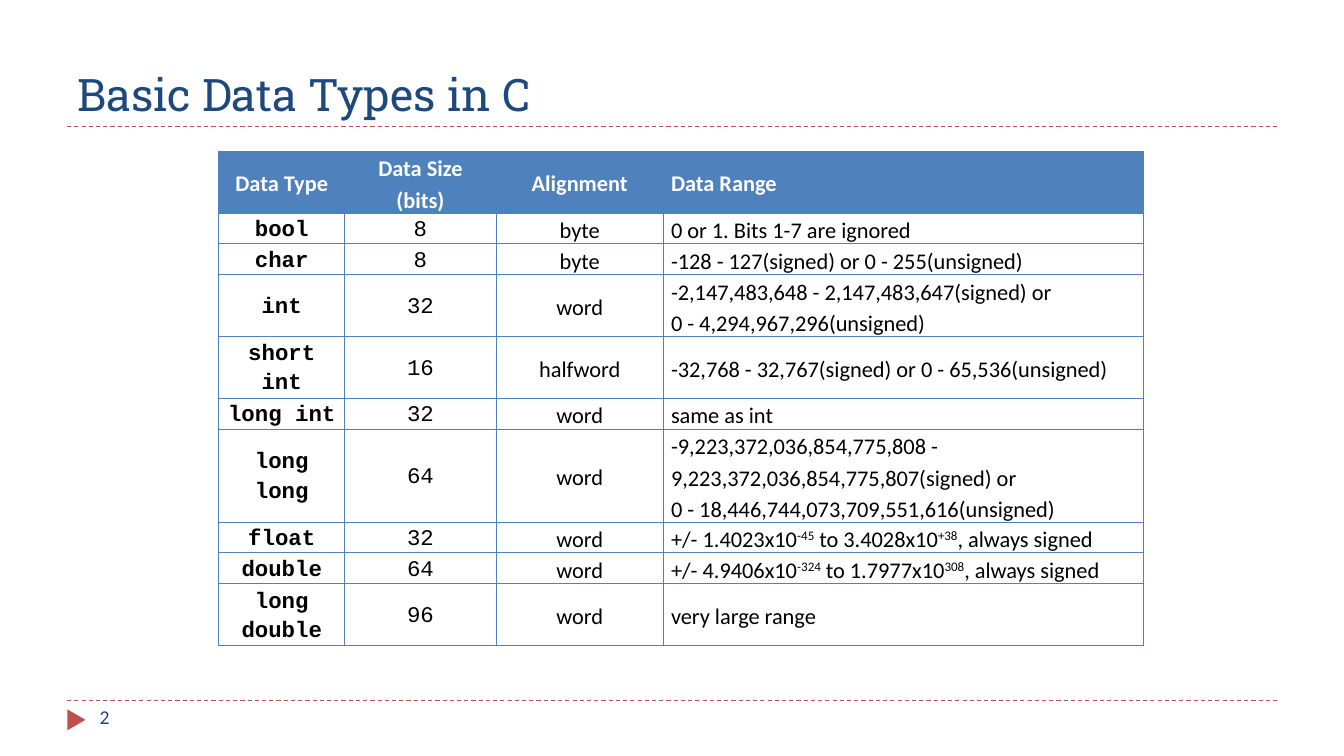
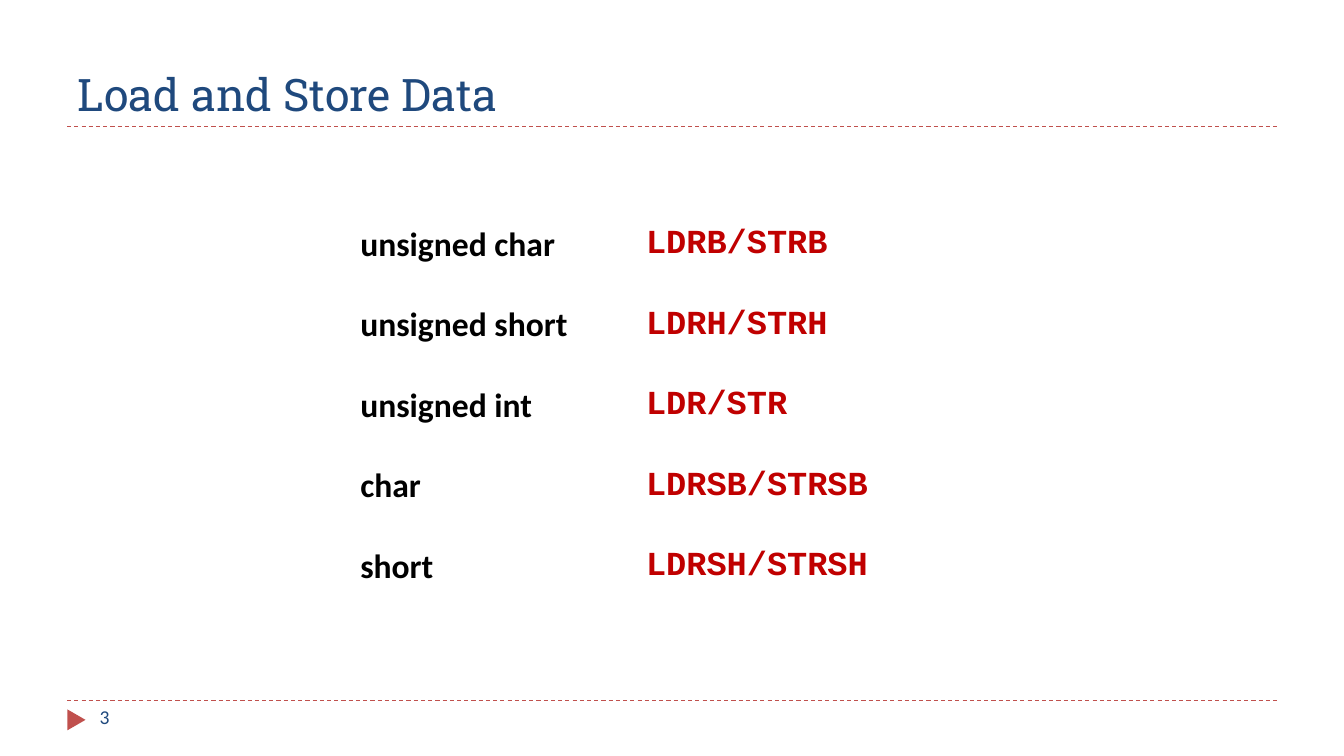
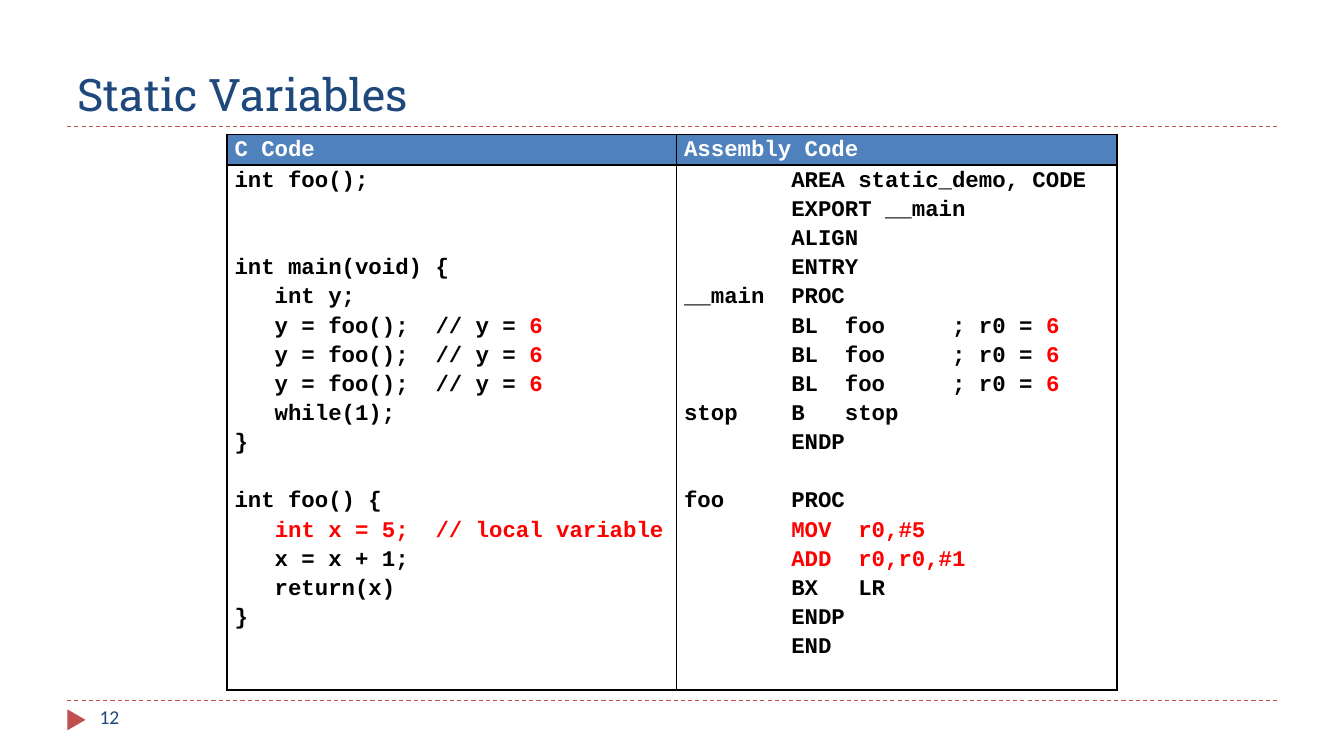
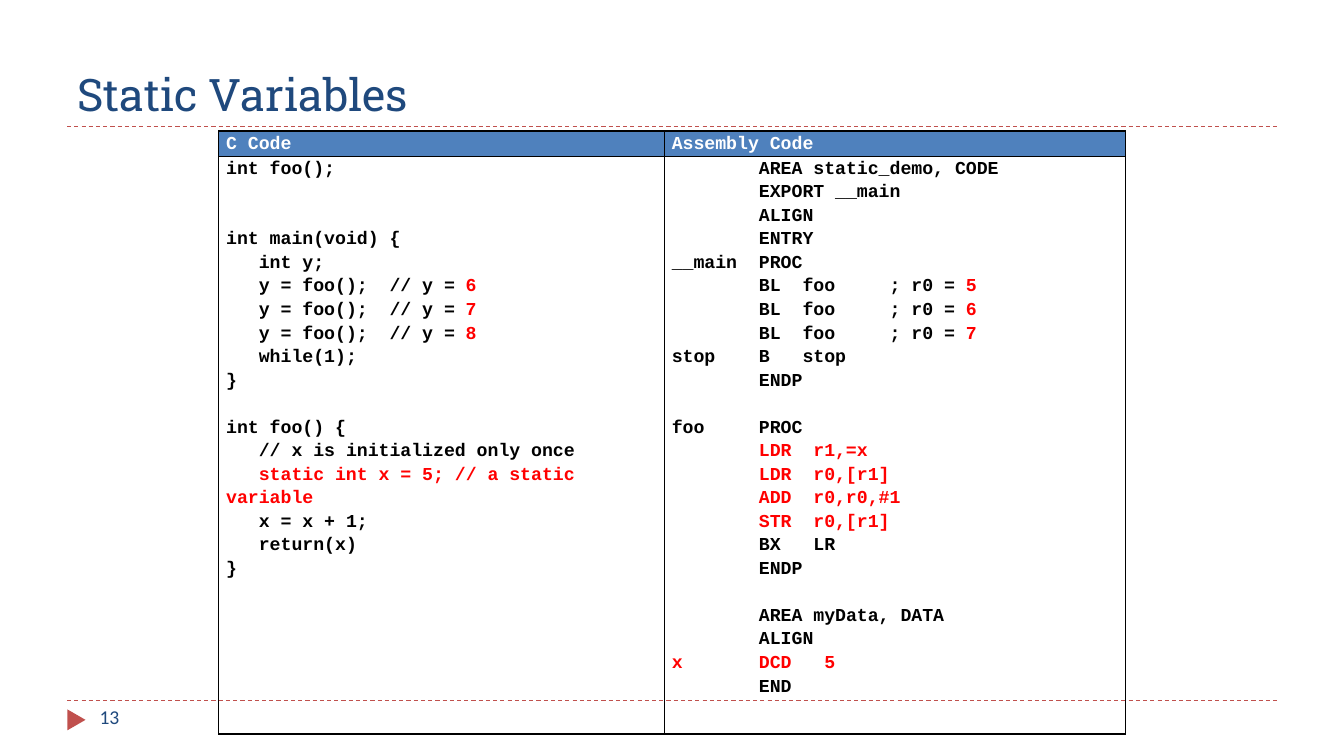
from dataclasses import dataclass

from lxml import etree
from pptx import Presentation
from pptx.dml.color import RGBColor
from pptx.enum import dml, shapes, text
from pptx.oxml.ns import qn
from pptx.util import Cm, Pt

LEFT, CENTER = text.PP_ALIGN.LEFT, text.PP_ALIGN.CENTER
TOP, MIDDLE = text.MSO_ANCHOR.TOP, text.MSO_ANCHOR.MIDDLE


@dataclass(frozen=True)
class Theme:
    navy: str = "1F497D"
    blue: str = "4F81BD"
    rule: str = "C0504D"
    instruction: str = "C00000"
    highlight: str = "FF0000"
    black: str = "000000"
    white: str = "FFFFFF"
    title_font: str = "Roboto Slab"
    body_font: str = "Calibri"
    code_font: str = "Courier New"
    title_size: int = 32
    large_size: int = 24
    table_size: int = 16
    number_size: int = 14
    small_code_size: int = 13


THEME = Theme()

TYPE_ROWS = [
    # lines, type, bits, alignment, range
    (1, "bool", "8", "byte", "0 or 1. Bits 1-7 are ignored"),
    (1, "char", "8", "byte", "-128 - 127(signed) or 0 - 255(unsigned)"),
    (2, "int", "32", "word",
     "-2,147,483,648 - 2,147,483,647(signed) or\n0 - 4,294,967,296(unsigned)"),
    (2, "short int", "16", "halfword",
     "-32,768 - 32,767(signed) or 0 - 65,536(unsigned)"),
    (1, "long int", "32", "word", "same as int"),
    (3, "long long", "64", "word",
     "-9,223,372,036,854,775,808 - 9,223,372,036,854,775,807(signed) or\n"
     "0 - 18,446,744,073,709,551,616(unsigned)"),
    (1, "float", "32", "word",
     "+/- 1.4023x10|-45| to 3.4028x10|+38|, always signed"),
    (1, "double", "64", "word",
     "+/- 4.9406x10|-324| to 1.7977x10|308|, always signed"),
    (2, "long double", "96", "word", "very large range"),
]

LOAD_STORE_ROWS = [
    ("unsigned char", "LDRB/STRB"),
    ("unsigned short", "LDRH/STRH"),
    ("unsigned int", "LDR/STR"),
    ("char", "LDRSB/STRSB"),
    ("short", "LDRSH/STRSH"),
]

LOCAL_C = ["   |int x = 5;  // local variable|"]
LOCAL_ASSEMBLY = ["        |MOV  r0,#5|", "        |ADD  r0,r0,#1|"]
STATIC_C = [
    "   // x is initialized only once",
    "   |static int x = 5; // a static variable|",
]
STATIC_ASSEMBLY = [
    "        |LDR  r1,=x|",
    "        |LDR  r0,[r1]|",
    "        |ADD  r0,r0,#1|",
    "        |STR  r0,[r1]|",
]
STATIC_DATA = [
    "",
    "        AREA myData, DATA",
    "        ALIGN",
    "|x       DCD   5|",
]


def c_program(results, declaration):
    calls = [f"   y = foo();  // y = |{value}|" for value in results]
    return ["int foo();", "", "", "int main(void) {", "   int y;", *calls,
            "   while(1);", "}", "", "int foo() {", *declaration,
            "   x = x + 1;", "   return(x)", "}"]


def assembly_program(results, body, data=()):
    calls = [f"        BL  foo     ; r0 = |{value}|" for value in results]
    return ["        AREA static_demo, CODE", "        EXPORT __main",
            "        ALIGN", "        ENTRY", "__main  PROC", *calls,
            "stop    B   stop", "        ENDP", "", "foo     PROC", *body,
            "        BX   LR", "        ENDP", *data, "        END"]


def write_text(frame, content, *, size, font=THEME.body_font, color=THEME.black,
               bold=False, align=LEFT, spacing=None, accent=None, raised=False):
    """Write one paragraph per line; parts between bars are accented or raised."""
    for number, line in enumerate(content.split("\n")):
        paragraph = frame.paragraphs[0] if number == 0 else frame.add_paragraph()
        paragraph.alignment = align
        if spacing:
            paragraph.line_spacing = spacing
        for index, part in enumerate((line or " ").split("|")):
            if not part:
                continue
            marked = index % 2 == 1
            run = paragraph.add_run()
            run.text = part
            run.font.name = font
            run.font.size = Pt(size)
            run.font.bold = bold
            run.font.color.rgb = RGBColor.from_string(
                accent if marked and accent else color)
            if marked and raised:
                run._r.get_or_add_rPr().set("baseline", "30000")


def add_rule(slide, top):
    line = slide.shapes.add_connector(
        shapes.MSO_CONNECTOR.STRAIGHT, Cm(1.69), Cm(top), Cm(32.17), Cm(top))
    line.line.color.rgb = RGBColor.from_string(THEME.rule)
    line.line.width = Pt(0.75)
    line.line.dash_style = dml.MSO_LINE.DASH
    etree.SubElement(line._element.spPr, qn("a:effectLst"))


def add_page(presentation, title, number):
    """Add a slide with the shared title, rules, marker and page number."""
    slide = presentation.slides.add_slide(presentation.slide_layouts[5])
    add_rule(slide, 17.65)
    add_rule(slide, 3.18)

    marker = slide.shapes.add_shape(shapes.MSO_SHAPE.ISOSCELES_TRIANGLE,
                                    Cm(1.66), Cm(17.91), Cm(0.53), Cm(0.46))
    marker.rotation = 90
    marker.shadow.inherit = False
    marker.fill.solid()
    marker.fill.fore_color.rgb = RGBColor.from_string(THEME.rule)
    marker.line.fill.background()

    heading = slide.shapes.title
    heading.left, heading.top = Cm(1.69), Cm(0.43)
    heading.width, heading.height = Cm(30.48), Cm(2.74)
    heading.text_frame.auto_size = text.MSO_AUTO_SIZE.NONE
    heading.text_frame.vertical_anchor = text.MSO_ANCHOR.BOTTOM
    write_text(heading.text_frame, title, size=THEME.title_size,
               font=THEME.title_font, color=THEME.navy)

    page = slide.shapes.add_textbox(Cm(2.26), Cm(17.65), Cm(7.34), Cm(1.02))
    page.text_frame.word_wrap = True
    write_text(page.text_frame, str(number), size=THEME.number_size,
               color=THEME.navy)
    return slide


def add_plain_table(slide, left, top, widths, heights):
    """Add a table without the built-in banding and header formats."""
    frame = slide.shapes.add_table(len(heights), len(widths), Cm(left), Cm(top),
                                   Cm(sum(widths)), Cm(sum(heights)))
    table = frame.table
    table.first_row = table.horz_banding = False
    for column, width in zip(table.columns, widths):
        column.width = Cm(width)
    for row, height in zip(table.rows, heights):
        row.height = Cm(height)
    return table


def set_borders(cell, color, width):
    properties = cell._tc.get_or_add_tcPr()
    for side in ("lnL", "lnR", "lnT", "lnB"):
        line = etree.SubElement(properties, qn(f"a:{side}"), w=str(Pt(width)))
        fill = etree.SubElement(line, qn("a:solidFill"))
        etree.SubElement(fill, qn("a:srgbClr"), val=color)


def fill_cell(cell, content, *, anchor=MIDDLE, fill=None, border=None, **style):
    cell.margin_left = cell.margin_right = Cm(0.19)
    cell.margin_top = cell.margin_bottom = 0
    cell.vertical_anchor = anchor
    if border:
        set_borders(cell, *border)
    if fill:
        cell.fill.solid()
        cell.fill.fore_color.rgb = RGBColor.from_string(fill)
    else:
        cell.fill.background()
    write_text(cell.text_frame, content, spacing=1.15, **style)


def add_type_table(slide):
    line_height = 0.73
    heights = [line_height * lines for lines in [2] + [row[0] for row in TYPE_ROWS]]
    table = add_plain_table(slide, 5.51, 3.81, [3.18, 3.81, 4.22, 12.09], heights)
    shared = {"size": THEME.table_size, "border": (THEME.blue, 0.75)}
    column_styles = [
        {"font": THEME.code_font, "bold": True, "align": CENTER},
        {"font": THEME.code_font, "align": CENTER},
        {"align": CENTER},
        {"raised": True},
    ]
    headers = ["Data Type", "Data Size (bits)", "Alignment", "Data Range"]
    for column, (header, style) in enumerate(zip(headers, column_styles)):
        fill_cell(table.cell(0, column), header, color=THEME.white, bold=True,
                  fill=THEME.blue, align=style.get("align", LEFT), **shared)
        for row, (_, *values) in enumerate(TYPE_ROWS, 1):
            fill_cell(table.cell(row, column), values[column], **style, **shared)


def add_load_store_table(slide):
    table = add_plain_table(slide, 8.89, 5.08, [7.2, 6.56],
                            [2.03] * len(LOAD_STORE_ROWS))
    shared = {"size": THEME.large_size, "bold": True}
    for row, (data_type, instruction) in enumerate(LOAD_STORE_ROWS):
        fill_cell(table.cell(row, 0), data_type, **shared)
        fill_cell(table.cell(row, 1), instruction, font=THEME.code_font,
                  color=THEME.instruction, **shared)


def add_code_table(slide, left, top, widths, programs, size, line_height):
    longest = max(len(program) for program in programs)
    table = add_plain_table(slide, left, top, widths,
                            [line_height, line_height * longest])
    shared = {"size": size, "font": THEME.code_font, "bold": True,
              "anchor": TOP, "border": (THEME.black, 1)}
    for column, header in enumerate(["C Code", "Assembly Code"]):
        fill_cell(table.cell(0, column), header, color=THEME.white,
                  fill=THEME.blue, **shared)
        fill_cell(table.cell(1, column), "\n".join(programs[column]),
                  accent=THEME.highlight, **shared)


def main():
    presentation = Presentation()
    presentation.slide_width, presentation.slide_height = Cm(33.87), Cm(19.05)

    add_type_table(add_page(presentation, "Basic Data Types in C", 2))
    add_load_store_table(add_page(presentation, "Load and Store Data", 3))
    add_code_table(
        add_page(presentation, "Static Variables", 12), 5.72, 3.38, [11.33, 11.1],
        [c_program([6, 6, 6], LOCAL_C),
         assembly_program([6, 6, 6], LOCAL_ASSEMBLY)],
        THEME.table_size, 0.74)
    add_code_table(
        add_page(presentation, "Static Variables", 13), 5.51, 3.3, [11.23, 11.63],
        [c_program([6, 7, 8], STATIC_C),
         assembly_program([5, 6, 7], STATIC_ASSEMBLY, STATIC_DATA)],
        THEME.small_code_size, 0.59)

    presentation.save("out.pptx")


if __name__ == "__main__":
    main()
